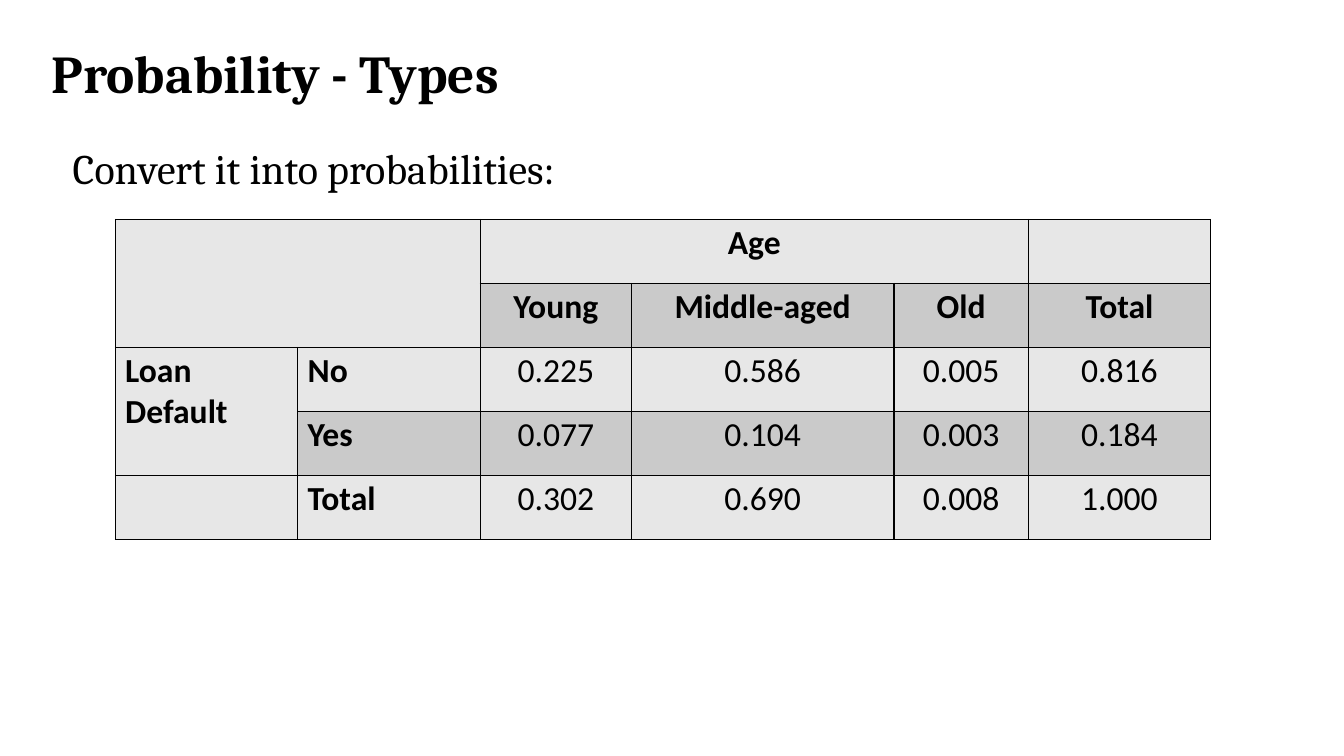
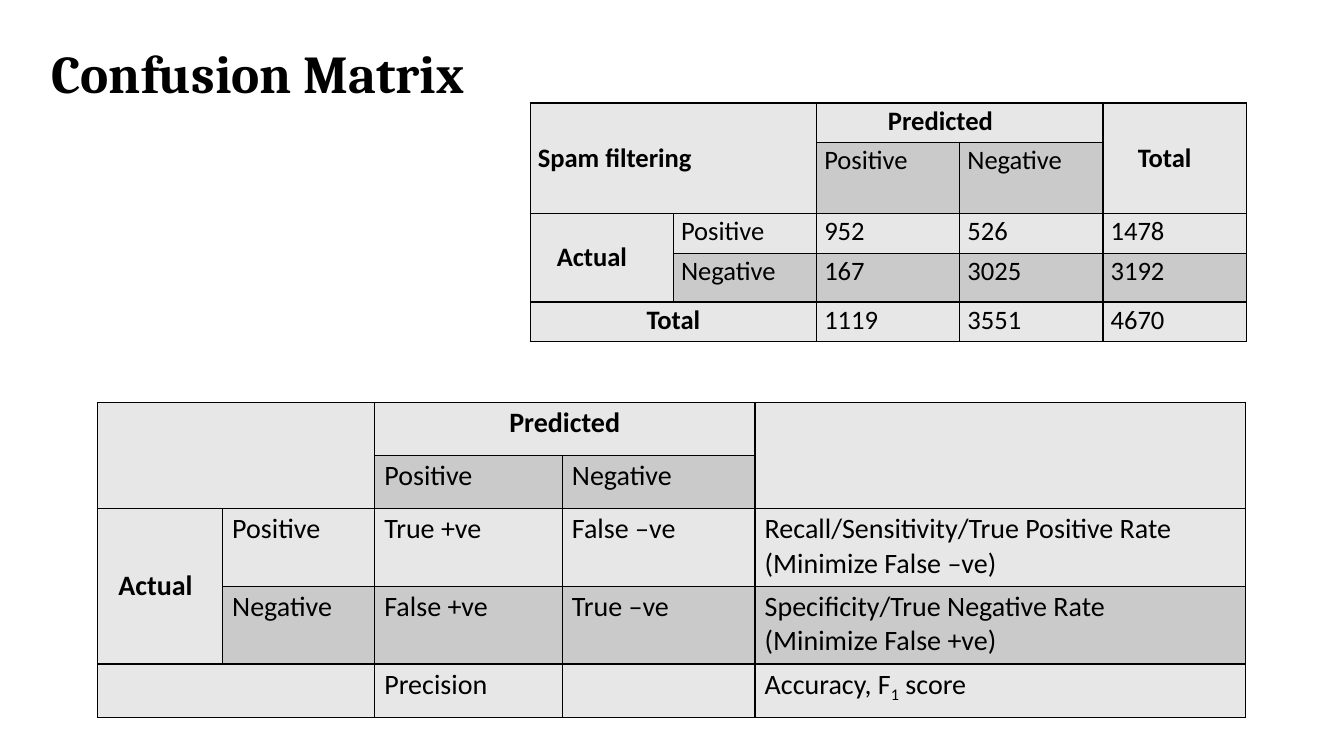
from dataclasses import dataclass
from typing import Optional

from lxml import etree
from pptx import Presentation
from pptx.dml.color import RGBColor
from pptx.enum.text import MSO_ANCHOR, PP_ALIGN
from pptx.oxml.ns import qn
from pptx.util import Pt

LEFT, CENTER = PP_ALIGN.LEFT, PP_ALIGN.CENTER
TOP, MIDDLE = MSO_ANCHOR.TOP, MSO_ANCHOR.MIDDLE

COLORS = {"ink": "000000", "light": "E7E7E7", "dark": "CACACA"}
HEADING_FONT, TABLE_FONT = "Cambria", "Calibri"
BORDER_WIDTH = 1
SUBSCRIPT = "-21000"


@dataclass
class Cell:
    text: str = ""
    rows: int = 1
    cols: int = 1
    bold: bool = False
    align: int = LEFT
    indent: Optional[float] = None
    anchor: int = TOP


@dataclass
class TableStyle:
    size: float
    indent: float
    top: float


def head(text, **options):
    return Cell(text, bold=True, **options)


def centered(*texts):
    return [Cell(text, align=CENTER) for text in texts]


def centered_heads(*texts):
    return [head(text, align=CENTER) for text in texts]


def style_run(run, font_name, size, bold):
    run.font.name = font_name
    run.font.size = Pt(size)
    run.font.bold = bold
    run.font.color.rgb = RGBColor.from_string(COLORS["ink"])


def add_text(slide, text, left, top, width, height, size, bold=False):
    frame = slide.shapes.add_textbox(Pt(left), Pt(top), Pt(width), Pt(height)).text_frame
    frame.word_wrap = True
    frame.margin_left = Pt(1)
    frame.margin_right = frame.margin_top = frame.margin_bottom = 0
    frame.text = text
    style_run(frame.paragraphs[0].runs[0], HEADING_FONT, size, bold)
    return frame


def add_title(slide, text):
    frame = add_text(slide, text, 36, 26.5, 888, 56, 38, bold=True)
    frame.vertical_anchor = MIDDLE
    frame.paragraphs[0].line_spacing = 0.9


def add_borders(cell):
    properties = cell._tc.get_or_add_tcPr()
    for side in ("a:lnL", "a:lnR", "a:lnT", "a:lnB"):
        line = etree.SubElement(properties, qn(side), w=str(Pt(BORDER_WIDTH)))
        fill = etree.SubElement(line, qn("a:solidFill"))
        etree.SubElement(fill, qn("a:srgbClr"), val=COLORS["ink"])


def write_cell(cell, entry, style):
    indent = style.indent if entry.indent is None else entry.indent
    cell.margin_left = 0 if entry.align == CENTER else Pt(indent)
    cell.margin_right = 0 if entry.align == CENTER else Pt(style.indent)
    cell.margin_top = 0 if entry.anchor == MIDDLE else Pt(style.top)
    cell.margin_bottom = 0
    cell.vertical_anchor = entry.anchor
    if not entry.text:
        return
    paragraph = cell.text_frame.paragraphs[0]
    paragraph.alignment = entry.align
    first, *rest = entry.text.split("|")
    paragraph.text = first
    for number, piece in enumerate(rest):
        run = paragraph.add_run()
        run.text = piece
        if number % 2 == 0:
            run._r.get_or_add_rPr().set("baseline", SUBSCRIPT)
    for run in paragraph.runs:
        style_run(run, TABLE_FONT, style.size, entry.bold)


def add_grid(slide, left, top, widths, heights, entries, style):
    table = slide.shapes.add_table(
        len(heights), len(widths), Pt(left), Pt(top), Pt(sum(widths)), Pt(sum(heights))
    ).table
    table.first_row = table.horz_banding = False
    for column, width in zip(table.columns, widths):
        column.width = Pt(width)
    for row, height in zip(table.rows, heights):
        row.height = Pt(height)
    for r, row_entries in enumerate(entries):
        for c, entry in enumerate(row_entries):
            cell = table.cell(r, c)
            add_borders(cell)
            cell.fill.solid()
            shade = COLORS["dark" if r in (1, 3) else "light"]
            cell.fill.fore_color.rgb = RGBColor.from_string(shade)
            if entry is None:
                entry = Cell()
            elif isinstance(entry, str):
                entry = Cell(entry)
            write_cell(cell, entry, style)
            if entry.rows > 1 or entry.cols > 1:
                cell.merge(table.cell(r + entry.rows - 1, c + entry.cols - 1))


def build_probability(slide):
    add_text(slide, "Convert it into probabilities:", 51, 102, 368, 37, 30)
    entries = [
        [Cell(rows=2, cols=2), None, head("Age", cols=3, align=CENTER), None, None, ""],
        [None, None, *centered_heads("Young", "Middle-aged", "Old", "Total")],
        [head("Loan Default", rows=2), head("No"), *centered("0.225", "0.586", "0.005", "0.816")],
        [None, head("Yes"), *centered("0.077", "0.104", "0.003", "0.184")],
        ["", head("Total"), *centered("0.302", "0.690", "0.008", "1.000")],
    ]
    widths = [130.3, 130.3, 108, 187.5, 96, 130.3]
    add_grid(slide, 82.5, 156.7, widths, [45.75] * 5, entries, TableStyle(24, 7, 2.5))


def build_spam_counts(slide):
    entries = [
        [head("Spam filtering", rows=2, cols=2, anchor=MIDDLE), None,
         head("Predicted", cols=2, indent=51), None,
         head("Total", rows=2, indent=25, anchor=MIDDLE)],
        [None, None, "Positive", "Negative", None],
        [head("Actual", rows=2, indent=19, anchor=MIDDLE), "Positive", "952", "526", "1478"],
        [None, "Negative", "167", "3025", "3192"],
        [head("Total", cols=2, align=CENTER), None, "1119", "3551", "4670"],
    ]
    heights = [28, 51, 28.4, 34.8, 28.2]
    add_grid(slide, 378.7, 73.6, [102.3] * 5, heights, entries, TableStyle(19, 5.5, 1.5))


def build_measures(slide):
    entries = [
        [Cell(rows=2, cols=2), None, head("Predicted", cols=2, align=CENTER), None, Cell(rows=2)],
        [None, None, "Positive", "Negative", None],
        [head("Actual", rows=2, indent=15, anchor=MIDDLE), "Positive", "True +ve", "False –ve",
         "Recall/Sensitivity/True Positive Rate\v(Minimize False –ve)"],
        [None, "Negative", "False +ve", "True –ve",
         "Specificity/True Negative Rate\v(Minimize False +ve)"],
        [Cell(cols=2), None, "Precision", "", "Accuracy, F|1| score"],
    ]
    widths = [89.3, 108.7, 134, 137.7, 350.6]
    heights = [38, 38, 55.5, 55.5, 38]
    add_grid(slide, 69.6, 287.4, widths, heights, entries, TableStyle(20, 7, 2.5))


def main():
    deck = Presentation()
    deck.slide_width, deck.slide_height = Pt(960), Pt(540)
    pages = [
        ("Probability - Types", [build_probability]),
        ("Confusion Matrix", [build_spam_counts, build_measures]),
    ]
    for title, builders in pages:
        slide = deck.slides.add_slide(deck.slide_layouts[6])
        for build in builders:
            build(slide)
        add_title(slide, title)
    deck.save("out.pptx")


if __name__ == "__main__":
    main()
